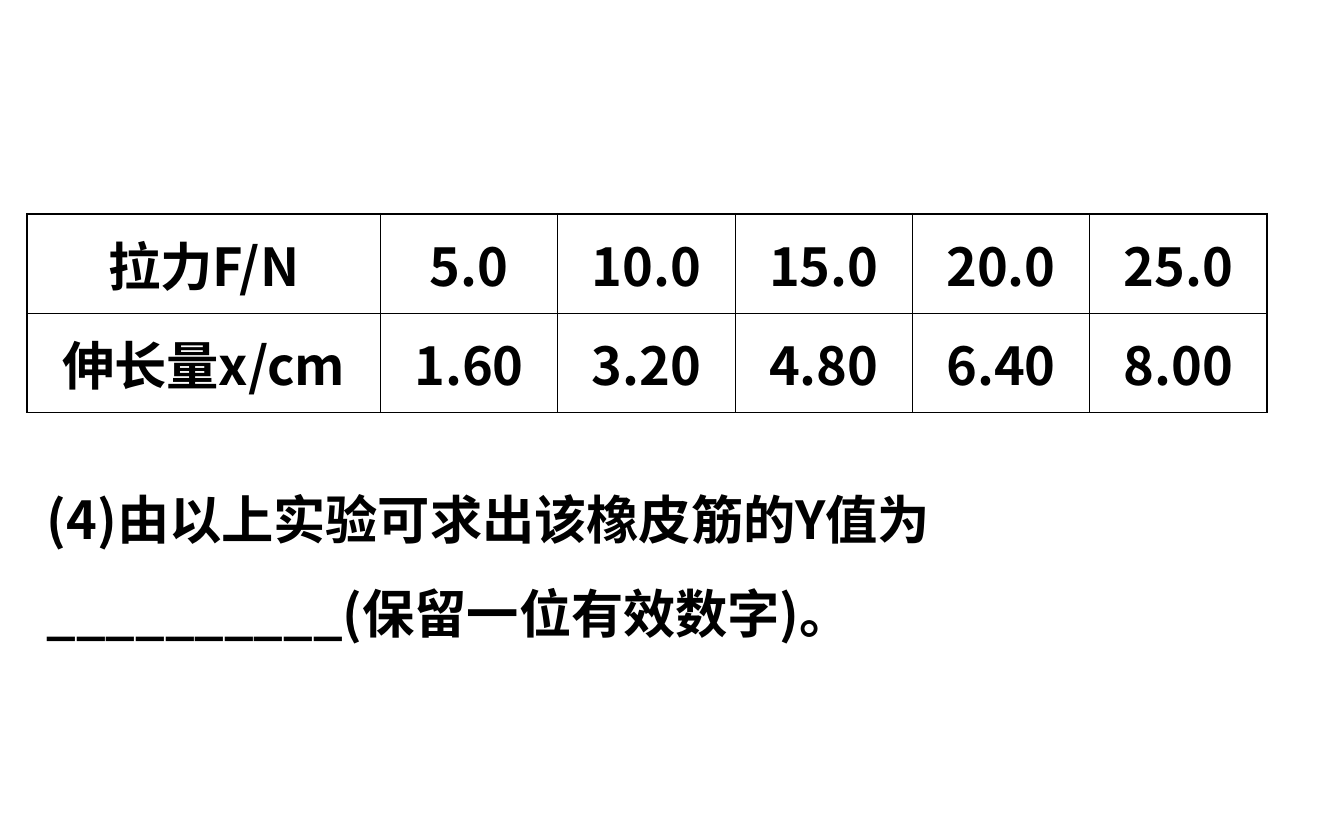
from dataclasses import dataclass

from lxml import etree
from pptx import Presentation
from pptx.dml.color import RGBColor
from pptx.enum.text import MSO_ANCHOR, MSO_AUTO_SIZE, PP_ALIGN
from pptx.oxml.ns import qn
from pptx.util import Inches, Pt

# Content
MEASUREMENTS = [
    ("拉力F/N", "5.0", "10.0", "15.0", "20.0", "25.0"),
    ("伸长量x/cm", "1.60", "3.20", "4.80", "6.40", "8.00"),
]
QUESTION = "(4)由以上实验可求出该橡皮筋的Y值为__________(保留一位有效数字)。"

# Layout in inches
TABLE_LEFT, TABLE_TOP = 0.2, 1.59
LABEL_WIDTH, VALUE_WIDTH, ROW_HEIGHT = 2.63, 1.32, 0.74
QUESTION_BOX = (0.25, 3.34, 9.43, 1.5)


@dataclass(frozen=True)
class Theme:
    font: str = "Noto Sans CJK SC"
    size: float = 28
    ink: str = "000000"
    outer_line: float = 0.96
    inner_line: float = 0.45


THEME = Theme()


def add_text(paragraph, text):
    run = paragraph.add_run()
    run.text = text
    font = run.font
    font.name, font.size, font.bold = THEME.font, Pt(THEME.size), True
    font.color.rgb = RGBColor.from_string(THEME.ink)
    east_asian = etree.SubElement(font._element, qn("a:ea"))
    east_asian.set("typeface", THEME.font)


def set_borders(cell, outer_sides):
    properties = cell._tc.get_or_add_tcPr()
    for position, side in enumerate("LRTB"):
        width = THEME.outer_line if side in outer_sides else THEME.inner_line
        line = etree.Element(qn(f"a:ln{side}"), w=str(Pt(width)))
        fill = etree.SubElement(line, qn("a:solidFill"))
        etree.SubElement(fill, qn("a:srgbClr"), val=THEME.ink)
        properties.insert(position, line)


def add_measurement_table(slide):
    row_count, column_count = len(MEASUREMENTS), len(MEASUREMENTS[0])
    widths = [LABEL_WIDTH] + [VALUE_WIDTH] * (column_count - 1)
    table = slide.shapes.add_table(
        row_count, column_count, Inches(TABLE_LEFT), Inches(TABLE_TOP),
        Inches(sum(widths)), Inches(ROW_HEIGHT * row_count)).table
    table.first_row = table.horz_banding = False
    for column, width in zip(table.columns, widths):
        column.width = Inches(width)

    for row_index, values in enumerate(MEASUREMENTS):
        table.rows[row_index].height = Inches(ROW_HEIGHT)
        for column_index, value in enumerate(values):
            cell = table.cell(row_index, column_index)
            cell.fill.background()
            cell.vertical_anchor = MSO_ANCHOR.MIDDLE
            paragraph = cell.text_frame.paragraphs[0]
            paragraph.alignment = PP_ALIGN.CENTER
            add_text(paragraph, value)
            # The heavier line follows the outside of the grid
            edges = {"L": column_index == 0, "R": column_index == column_count - 1,
                     "T": row_index == 0, "B": row_index == row_count - 1}
            set_borders(cell, [side for side, outer in edges.items() if outer])


def add_question(slide):
    frame = slide.shapes.add_textbox(*map(Inches, QUESTION_BOX)).text_frame
    frame.word_wrap = True
    frame.auto_size = MSO_AUTO_SIZE.SHAPE_TO_FIT_TEXT
    paragraph = frame.paragraphs[0]
    paragraph.line_spacing = 1.5
    add_text(paragraph, QUESTION)


def main():
    presentation = Presentation()
    presentation.slide_width, presentation.slide_height = Inches(10), Inches(6.25)
    slide = presentation.slides.add_slide(presentation.slide_layouts[6])
    add_question(slide)
    add_measurement_table(slide)
    presentation.save("out.pptx")


if __name__ == "__main__":
    main()
